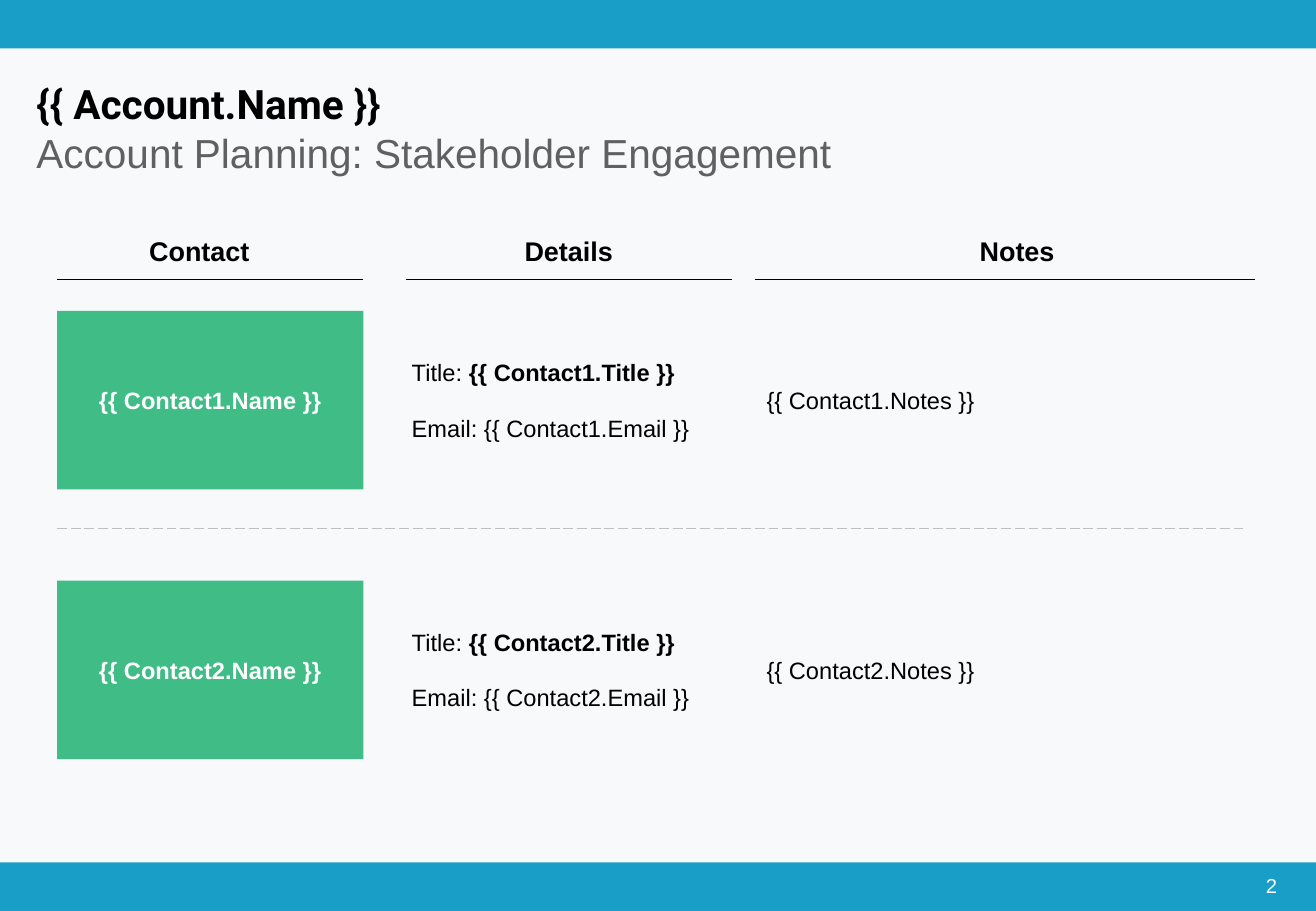
import dataclasses
from typing import Any

import lxml.etree
import pptx
import pptx.dml.color
import pptx.enum.dml
import pptx.enum.shapes
import pptx.enum.text
import pptx.oxml.ns
import pptx.util

Align = pptx.enum.text.PP_ALIGN
Anchor = pptx.enum.text.MSO_ANCHOR
AutoSize = pptx.enum.text.MSO_AUTO_SIZE

WIDTH = pptx.util.Inches(10.83)
HEIGHT = pptx.util.Inches(7.5)
BLACK, WHITE, GREY = "000000", "FFFFFF", "606060"
BLUE, GREEN, RULE_GREY, BACKGROUND = "199EC7", "40BC86", "BFBFBF", "F8F9FA"
PADDING = (0.1, 0.05)
HEADING_WIDTH = 14.77
FIRST_ROW_MIDDLE = 43.93
ROW_PITCH = 29.6


@dataclasses.dataclass(frozen=True)
class Box:
    """Percentages of the slide's width and height."""

    left: float
    top: float
    width: float
    height: float


@dataclasses.dataclass(frozen=True)
class Column:
    heading: str
    heading_left: float
    rule_left: float
    rule_right: float
    body_left: float
    body_width: float
    body_height: float


@dataclasses.dataclass(frozen=True)
class Run:
    text: str
    bold: bool = False
    color: str = BLACK
    font: str = "Arial"


CONTACT = Column("Contact", 7.76, 4.34, 27.61, 4.34, 23.27, 19.6)
DETAILS = Column("Details", 35.83, 30.84, 55.59, 30.38, 24.75, 10.8)
NOTES = Column("Notes", 69.9, 57.34, 95.38, 57.34, 37.95, 4.53)


def across(percent: float) -> int:
    return round(WIDTH * percent / 100)


def down(percent: float) -> int:
    return round(HEIGHT * percent / 100)


def rgb(color: str) -> pptx.dml.color.RGBColor:
    return pptx.dml.color.RGBColor.from_string(color)


def place(box: Box) -> tuple[int, int, int, int]:
    return across(box.left), down(box.top), across(box.width), down(box.height)


def write(shape: Any, *paragraphs: list[Run], size: float = 14, align: Any = Align.LEFT,
          anchor: Any = Anchor.TOP, padding: tuple[float, float] = PADDING,
          gap: float = 0, grow: bool = False) -> None:
    frame = shape.text_frame
    frame.word_wrap = True
    frame.auto_size = AutoSize.SHAPE_TO_FIT_TEXT if grow else AutoSize.NONE
    frame.vertical_anchor = anchor
    frame.margin_left = frame.margin_right = pptx.util.Inches(padding[0])
    frame.margin_top = frame.margin_bottom = pptx.util.Inches(padding[1])
    for index, runs in enumerate(paragraphs):
        paragraph = frame.add_paragraph() if index else frame.paragraphs[0]
        paragraph.alignment = align
        paragraph.line_spacing = 1.0
        paragraph.space_before = pptx.util.Pt(gap if index else 0)
        for item in runs:
            run = paragraph.add_run()
            run.text = item.text
            run.font.name = item.font
            run.font.size = pptx.util.Pt(size)
            run.font.bold = item.bold
            run.font.color.rgb = rgb(item.color)


def add_rectangle(shapes: Any, box: Box, color: str) -> Any:
    shape = shapes.add_shape(pptx.enum.shapes.MSO_SHAPE.RECTANGLE, *place(box))
    shape.shadow.inherit = False
    shape.fill.solid()
    shape.fill.fore_color.rgb = rgb(color)
    shape.line.fill.background()
    return shape


def add_rule(shapes: Any, left: float, right: float, top: float, color: str,
             dash: Any = None) -> None:
    rule = shapes.add_connector(pptx.enum.shapes.MSO_CONNECTOR.STRAIGHT,
                                across(left), down(top), across(right), down(top))
    rule.line.color.rgb = rgb(color)
    rule.line.width = pptx.util.Pt(0.75)
    if dash is not None:
        rule.line.dash_style = dash
    lxml.etree.SubElement(rule._element.spPr, pptx.oxml.ns.qn("a:effectLst"))


def add_heading(shapes: Any, column: Column) -> None:
    add_rule(shapes, column.rule_left, column.rule_right, 30.67, BLACK)
    box = Box(column.heading_left, 25.07, HEADING_WIDTH, 4.93)
    write(shapes.add_textbox(*place(box)), [Run(column.heading, bold=True)],
          size=16, align=Align.CENTER, grow=True)


def body_box(column: Column, middle: float) -> Box:
    return Box(column.body_left, middle - column.body_height / 2,
               column.body_width, column.body_height)


def add_contact(slide: Any, number: int) -> None:
    middle = FIRST_ROW_MIDDLE + (number - 1) * ROW_PITCH
    field = f"Contact{number}"
    shapes = slide.shapes.add_group_shape().shapes
    card = add_rectangle(shapes, body_box(CONTACT, middle), GREEN)
    write(card, [Run(f"{{{{ {field}.Name }}}}", bold=True, color=WHITE)],
          align=Align.CENTER, anchor=Anchor.MIDDLE)
    details = shapes.add_textbox(*place(body_box(DETAILS, middle)))
    write(details,
          [Run("Title: "), Run(f"{{{{ {field}.Title }}}}", bold=True)],
          [Run(f"Email: {{{{ {field}.Email }}}}")],
          anchor=Anchor.MIDDLE, gap=16, grow=True)
    notes = shapes.add_textbox(*place(body_box(NOTES, middle)))
    write(notes, [Run(f"{{{{ {field}.Notes }}}}")], anchor=Anchor.MIDDLE, grow=True)


def main() -> None:
    presentation = pptx.Presentation()
    presentation.slide_width, presentation.slide_height = WIDTH, HEIGHT
    slide = presentation.slides.add_slide(presentation.slide_layouts[5])
    slide.background.fill.solid()
    slide.background.fill.fore_color.rgb = rgb(BACKGROUND)

    for top in (94.67, 0):
        add_rectangle(slide.shapes, Box(0, top, 100, 5.33), BLUE)

    title = slide.shapes.title
    title.left, title.top, title.width, title.height = place(Box(2.77, 8.67, 94.28, 10.4))
    write(title,
          [Run("{{ Account.Name }}", bold=True, font="Roboto")],
          [Run("Account Planning: Stakeholder Engagement", color=GREY)],
          size=24, padding=(0, 0))

    page_number = slide.shapes.add_textbox(*place(Box(91.6, 95.87, 5.45, 2.67)))
    write(page_number, [Run("2", color=WHITE)], size=12, align=Align.RIGHT, padding=(0, 0))

    for column in (CONTACT, DETAILS, NOTES):
        add_heading(slide.shapes, column)
    add_rule(slide.shapes, CONTACT.rule_left, 94.46, 58, RULE_GREY,
             pptx.enum.dml.MSO_LINE.LONG_DASH)
    for number in (1, 2):
        add_contact(slide, number)

    presentation.save("out.pptx")


if __name__ == "__main__":
    main()
